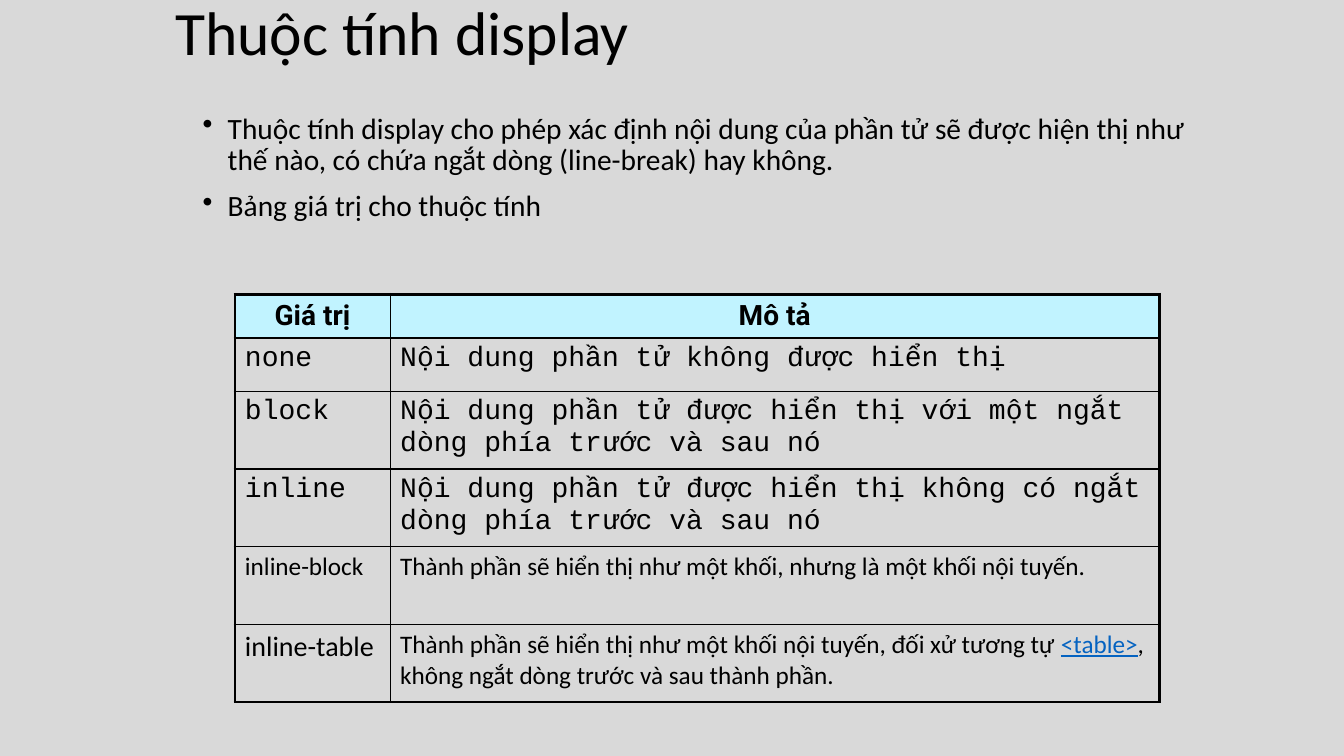
from dataclasses import dataclass

from lxml import etree
from pptx import Presentation
from pptx import util as u
from pptx.dml.color import RGBColor
from pptx.enum import text
from pptx.oxml.ns import qn

BLACK, LINK, HEADER, BACKGROUND = "000000", "0563C1", "C1F3FF", "D9D9D9"
SANS, MONO, HEADING = "Calibri", "Courier New", "Roboto"
THIN, THICK = 1, 2.25
INDENT = u.Inches(0.25)


@dataclass
class Area:
    left: float
    top: float
    width: float
    height: float


@dataclass
class Entry:
    runs: list[str]
    size: float = 20
    font: str = MONO


@dataclass
class Row:
    height: float
    value: Entry
    description: Entry


TITLE = Area(12.3, -0.53, 76.65, 10.53)
BODY = Area(14.33, 14.4, 76.28, 72)
TABLE = Area(17.48, 38.93, 68.78, 53.88)
COLUMNS = [11.55, 57.23]
POINTS = [
    "Thuộc tính display cho phép xác định nội dung của phần tử sẽ được hiện thị "
    "như thế nào, có chứa ngắt dòng (line-break) hay không.",
    "Bảng giá trị cho thuộc tính",
]
ROWS = [
    Row(5.73, Entry(["Giá trị"], font=HEADING), Entry(["Mô tả"], font=HEADING)),
    Row(7.07, Entry(["none"]), Entry(["Nội dung phần tử không được hiển thị"])),
    Row(10.27, Entry(["block"]),
        Entry(["Nội dung phần tử được hiển thị với một ngắt dòng phía trước và sau nó"])),
    Row(10.27, Entry(["inline"]),
        Entry(["Nội dung phần tử được hiển thị không có ngắt dòng phía trước và sau nó"])),
    Row(10.27, Entry(["inline-block"], 18, SANS),
        Entry(["Thành phần sẽ hiển thị như một khối, nhưng là một khối nội tuyến."], 18, SANS)),
    Row(10.27, Entry(["inline-table"], 20, SANS),
        Entry(["Thành phần sẽ hiển thị như một khối nội tuyến, đối xử tương tự\u00a0".replace("\u00a0", " "),
               "<table>", ", không ngắt dòng trước và sau thành phần."], 18, SANS)),
]

prs = Presentation()
prs.slide_width, prs.slide_height = u.Inches(13.33), u.Inches(7.5)


def across(percent: float) -> int:
    return round(prs.slide_width * percent / 100)


def down(percent: float) -> int:
    return round(prs.slide_height * percent / 100)


def place(area: Area) -> tuple[int, int, int, int]:
    return across(area.left), down(area.top), across(area.width), down(area.height)


def paint(fill, colour: str) -> None:
    fill.solid()
    fill.fore_color.rgb = RGBColor.from_string(colour)


def style(font, size: float, name: str, bold: bool = False) -> None:
    font.size, font.name, font.bold = u.Pt(size), name, bold
    paint(font.fill, BLACK)


def add_text(s, area: Area, lines: list[str], size: float, bulleted: bool = False):
    tf = s.shapes.add_textbox(*place(area)).text_frame
    tf.word_wrap = True
    tf.text = "\n".join(lines)
    for p in tf.paragraphs:
        style(p.font, size, SANS)
        p.line_spacing = 0.9
        if bulleted:
            p.space_before = u.Pt(10)
            props = p._p.get_or_add_pPr()
            props.set("marL", str(INDENT))
            props.set("indent", str(-INDENT))
            bullet = etree.Element(qn("a:buChar"), char="•")
            props.find(qn("a:defRPr")).addprevious(bullet)
    return tf


def add_border(cell, position: int, side: str, width: float) -> None:
    line = etree.Element(qn(f"a:ln{side}"), w=str(u.Pt(width)))
    solid = etree.SubElement(line, qn("a:solidFill"))
    etree.SubElement(solid, qn("a:srgbClr"), val=BLACK)
    cell._tc.get_or_add_tcPr().insert(position, line)


def fill_cell(cell, entry: Entry, header: bool) -> None:
    p = cell.text_frame.paragraphs[0]
    style(p.font, entry.size, entry.font, header)
    p.space_before = u.Pt(entry.size * 0.2)
    if header:
        p.alignment = text.PP_ALIGN.CENTER
        paint(cell.fill, HEADER)
    else:
        cell.fill.background()
    for words in entry.runs:
        r = p.add_run()
        r.text = words
        style(r.font, entry.size, entry.font, header)
        if words == "<table>":
            r.font.underline = True
            paint(r.font.fill, LINK)


def add_values(s, rows: list[Row]) -> None:
    table = s.shapes.add_table(len(rows), len(COLUMNS), *place(TABLE)).table
    table.horz_banding = False
    for column, width in zip(table.columns, COLUMNS):
        column.width = across(width)
    last_row, last_column = len(rows) - 1, len(COLUMNS) - 1
    for i, row in enumerate(rows):
        table.rows[i].height = down(row.height)
        for j, entry in enumerate((row.value, row.description)):
            cell = table.cell(i, j)
            fill_cell(cell, entry, i == 0)
            outer = {"L": j == 0, "R": j == last_column, "T": i == 0, "B": i == last_row}
            for position, (side, edge) in enumerate(outer.items()):
                add_border(cell, position, side, THICK if edge else THIN)


def main() -> None:
    s = prs.slides.add_slide(prs.slide_layouts[6])
    paint(s.background.fill, BACKGROUND)
    tf = add_text(s, TITLE, ["Thuộc tính display"], 44)
    tf.vertical_anchor = text.MSO_ANCHOR.MIDDLE
    add_text(s, BODY, POINTS, 21, bulleted=True)
    add_values(s, ROWS)
    prs.save("out.pptx")


if __name__ == "__main__":
    main()
